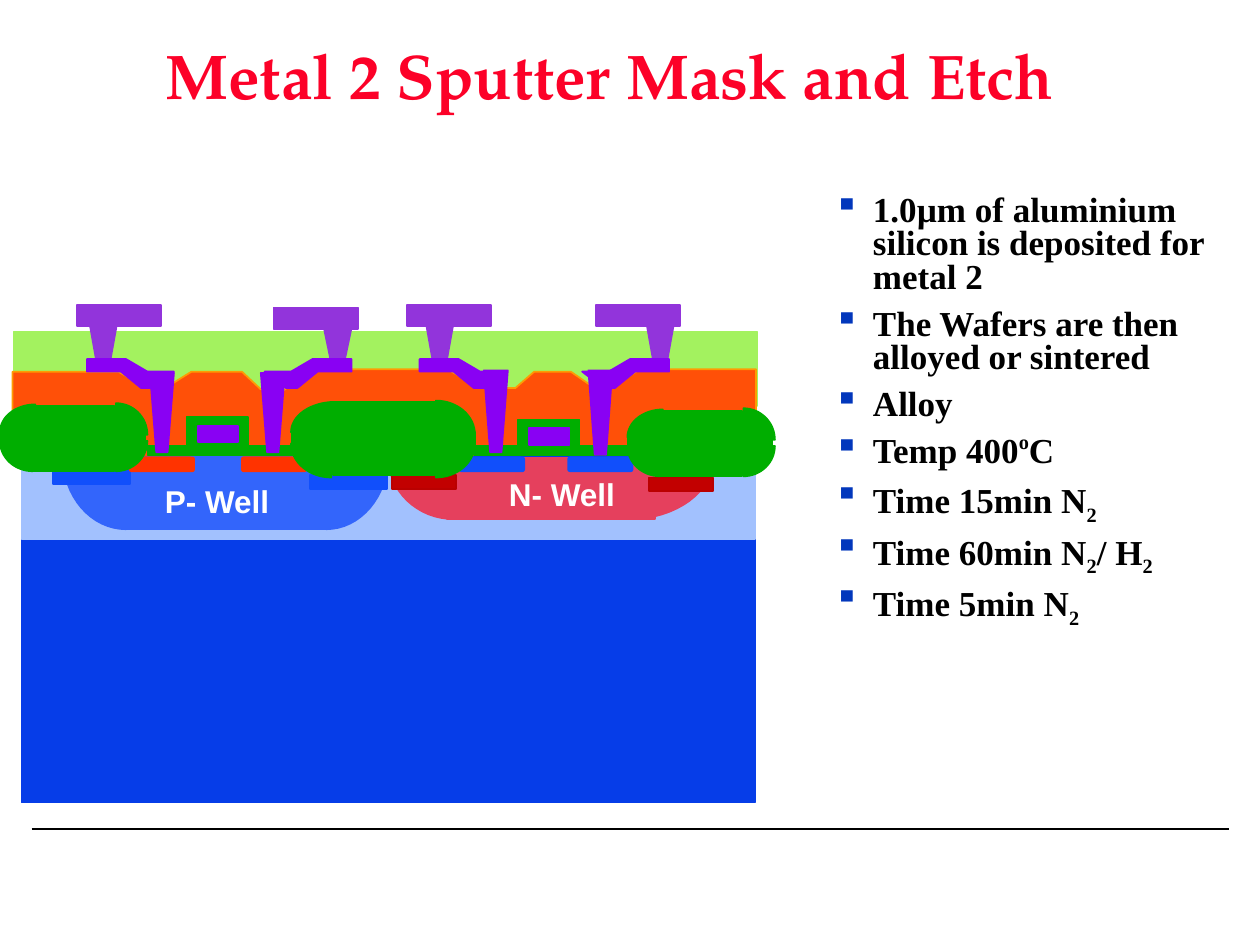
import math

import lxml.etree
import pptx
import pptx.dml.color
import pptx.enum.shapes
import pptx.enum.text
import pptx.oxml.ns
import pptx.util

RGB = pptx.dml.color.RGBColor
KIND = pptx.enum.shapes.MSO_SHAPE
ALIGN = pptx.enum.text.PP_ALIGN
ANCHOR = pptx.enum.text.MSO_ANCHOR
Inches, Pt = pptx.util.Inches, pptx.util.Pt

BLACK, WHITE = RGB(0, 0, 0), RGB(255, 255, 255)
TITLE_RED, BULLET_BLUE = RGB(0xFC, 0x01, 0x28), RGB(0x02, 0x37, 0xBC)
GLASS_GREEN = RGB(0xA3, 0xF2, 0x5F)
DIELECTRIC, DIELECTRIC_EDGE = RGB(0xFF, 0x50, 0x08), RGB(0xFE, 0x9B, 0x03)
SUBSTRATE, EPITAXY = RGB(0x06, 0x3D, 0xE8), RGB(0xA2, 0xC1, 0xFE)
N_WELL, P_WELL = RGB(0xE5, 0x40, 0x5D), RGB(0x33, 0x65, 0xFB)
OXIDE = RGB(0x00, 0xAE, 0x00)
IMPLANT_BLUE, IMPLANT_ORANGE = RGB(0x11, 0x4F, 0xFB), RGB(0xFF, 0x33, 0x00)
STOP_RED, STOP_EDGE = RGB(0xC2, 0, 0), RGB(0xBA, 0, 0)
METAL_1, METAL_2 = RGB(0x89, 0x01, 0xF3), RGB(0x92, 0x34, 0xDB)

TITLE = "Metal 2 Sputter Mask and Etch"
# Each bullet is a list of (text, baseline shift in percent).
BULLETS = [
    [("1.0µm of aluminium silicon is deposited for metal 2", 0)],
    [("The Wafers are then alloyed or sintered", 0)],
    [("Alloy", 0)],
    [("Temp 400", 0), ("o", 40), ("C", 0)],
    [("Time 15min N", 0), ("2", -25)],
    [("Time 60min N", 0), ("2", -25), ("/ H", 0), ("2", -25)],
    [("Time 5min N", 0), ("2", -25)],
]
WELL_LABELS = [("P- Well", 1.21, 3.78), ("N- Well", 3.94, 3.72)]

DIELECTRIC_OUTLINE = [
    (0.1, 3.62), (0.1, 2.95), (0.94, 2.95), (1.15, 3.07), (1.31, 3.08), (1.52, 2.95),
    (1.92, 2.95), (2.07, 3.09), (2.25, 3.1), (2.46, 2.93), (3.55, 2.93), (3.76, 3.05),
    (3.93, 3.08), (4.09, 3.08), (4.24, 2.95), (4.53, 2.95), (4.72, 3.08), (4.87, 3.06),
    (5.08, 2.93), (6, 2.93), (6, 3.68), (6.02, 3.68)]
STRAP_OUTLINE = [(0, 0.1), (0, 0), (0.31, 0), (0.48, 0.1), (0.69, 0.1),
                 (0.52, 0.23), (0.43, 0.23), (0.27, 0.1)]

# Quarter ellipses: centre x, centre y, signed radius x, signed radius y.
N_WELL_ENDS = [(3.6, 3.62, -0.52, 0.5), (5, 3.62, 0.67, 0.5)]
P_WELL_ENDS = [(1, 3.62, -0.5, 0.58), (2.59, 3.62, 0.49, 0.58)]
SIDE_CORNERS = [(0.26, 3.5, -0.26, 0.24), (0.92, 3.5, 0.25, 0.24),
                (0.92, 3.45, 0.25, -0.25), (0.28, 3.43, -0.28, -0.22)]
SIDE_RECTS = [(0, 3.42, 1.15, 0.08), (0.26, 3.22, 0.65, 0.52)]
MIDDLE_CORNERS = [(2.63, 3.52, -0.32, 0.27), (3.46, 3.52, 0.31, 0.27),
                  (3.46, 3.45, 0.31, -0.27), (2.66, 3.43, -0.35, -0.24)]
MIDDLE_RECTS = [(2.32, 3.43, 1.45, 0.09), (2.64, 3.19, 0.82, 0.58)]

# Left, top, top width, height.
CONTACTS = [(1.19, 2.96, 0.19, 0.63), (2.07, 2.96, 0.19, 0.63),
            (3.84, 2.94, 0.19, 0.65), (4.67, 2.94, 0.19, 0.67)]
VIAS = [(0.71, 2.56, 0.22, 0.28), (2.57, 2.6, 0.22, 0.24),
        (3.38, 2.56, 0.22, 0.28), (5.13, 2.56, 0.22, 0.28)]
PADS = [(0.61, 2.42), (2.17, 2.44), (3.23, 2.42), (4.73, 2.42)]
STRAPS = [(0.69, 1), (2.79, -1), (3.33, 1), (5.31, -1)]  # outer end, direction
GATES = [(1.48, 3.31), (4.11, 3.33)]


def paint(shape, fill, edge=None):
    shape.shadow.inherit = False
    shape.fill.solid()
    shape.fill.fore_color.rgb = fill
    shape.line.color.rgb = edge or fill
    shape.line.width = Pt(1)


def add_boxes(group, boxes, fill, edge=None, kind=KIND.RECTANGLE):
    for box in boxes:
        shape = group.shapes.add_shape(kind, *map(Inches, box))
        if kind == KIND.ROUNDED_RECTANGLE:
            shape.adjustments[0] = 0.125
        paint(shape, fill, edge)


def add_polygon(group, points, fill, edge=None):
    start, *others = [(Inches(x), Inches(y)) for x, y in points]
    builder = group.shapes.build_freeform(*start)
    builder.add_line_segments(others, close=True)
    paint(builder.convert_to_shape(), fill, edge)


def add_quarters(group, quarters, fill, steps=16):
    for x, y, radius_x, radius_y in quarters:
        angles = [math.pi / 2 * step / steps for step in range(steps + 1)]
        arc = [(x + radius_x * math.cos(a), y + radius_y * math.sin(a)) for a in angles]
        add_polygon(group, [(x, y)] + arc, fill)


def add_tapers(group, tapers, fill):
    for x, y, width, height in tapers:
        add_polygon(group, [(x, y), (x + width, y), (x + width - 0.05, y + height),
                            (x + 0.05, y + height)], fill)


def add_field_oxide(group, corners, rects, dx=0, dy=0):
    def moved(items):
        return [(x + dx, y + dy, w, h) for x, y, w, h in items]
    add_quarters(group, moved(corners), OXIDE)
    add_boxes(group, moved(rects), OXIDE)


def add_span(para, text, font, size, colour):
    span = para.add_run()
    span.text = text
    span.font.name, span.font.size, span.font.bold = font, Pt(size), True
    span.font.color.rgb = colour
    return span


def add_bullet(para):
    props = para._p.get_or_add_pPr()
    props.set("marL", str(Inches(0.31)))
    props.set("indent", str(Inches(-0.31)))
    colour = lxml.etree.SubElement(props, pptx.oxml.ns.qn("a:buClr"))
    lxml.etree.SubElement(colour, pptx.oxml.ns.qn("a:srgbClr"), val=str(BULLET_BLUE))
    lxml.etree.SubElement(props, pptx.oxml.ns.qn("a:buChar"), char="▪")


def add_cross_section(page):
    group = page.shapes.add_group_shape()
    add_boxes(group, [(0.11, 2.63, 5.9, 0.59)], GLASS_GREEN)
    add_polygon(group, DIELECTRIC_OUTLINE, DIELECTRIC, DIELECTRIC_EDGE)
    add_boxes(group, [(0.17, 3.63, 5.82, 2.74)], SUBSTRATE)
    add_boxes(group, [(0.17, 3.63, 5.82, 0.65)], EPITAXY)
    add_quarters(group, N_WELL_ENDS, N_WELL)
    add_boxes(group, [(3.55, 3.63, 1.65, 0.49)], N_WELL)
    add_quarters(group, P_WELL_ENDS, P_WELL)
    add_boxes(group, [(0.97, 3.63, 1.65, 0.57)], P_WELL)
    add_boxes(group, [(x, 3.54, 1.24, 0.07) for x in (1.17, 3.76)], OXIDE)
    add_boxes(group, [(2.46, 3.77, 0.61, 0.11), (0.42, 3.73, 0.61, 0.11)], IMPLANT_BLUE)
    add_boxes(group, [(3.11, 3.77, 0.51, 0.11), (5.15, 3.79, 0.51, 0.11)],
              STOP_RED, STOP_EDGE)
    add_boxes(group, [(x, y, 0.49, 0.26) for x, y in GATES], OXIDE)
    add_boxes(group, [(x + 0.09, y + 0.07, 0.32, 0.13) for x, y in GATES], METAL_1)
    for fill, lefts in ((IMPLANT_BLUE, (3.65, 4.51)), (IMPLANT_ORANGE, (1.03, 1.92))):
        add_boxes(group, [(x, 3.63, 0.51, 0.11) for x in lefts], fill,
                  kind=KIND.ROUNDED_RECTANGLE)
    add_field_oxide(group, SIDE_CORNERS, SIDE_RECTS)
    add_field_oxide(group, MIDDLE_CORNERS, MIDDLE_RECTS)
    add_tapers(group, CONTACTS, METAL_1)
    add_tapers(group, VIAS, METAL_2)
    add_boxes(group, [(x, y, 0.67, 0.17) for x, y in PADS], METAL_2)
    for end, direction in STRAPS:
        add_polygon(group, [(end + direction * x, 2.85 + y) for x, y in STRAP_OUTLINE],
                    METAL_1)
    add_field_oxide(group, SIDE_CORNERS, SIDE_RECTS, 4.98, 0.04)
    for text, x, y in WELL_LABELS:
        box = group.shapes.add_textbox(Inches(x), Inches(y), Inches(1.05), Inches(0.4))
        box.text_frame.word_wrap = False
        add_span(box.text_frame.paragraphs[0], text, "Arial", 18, WHITE)


def add_title(page):
    title = page.shapes.title
    title.left, title.top = 0, 0
    title.width, title.height = Inches(9.67), Inches(1.25)
    title.text_frame.vertical_anchor = ANCHOR.MIDDLE
    para = title.text_frame.paragraphs[0]
    para.alignment, para.line_spacing = ALIGN.CENTER, 0.9
    add_span(para, TITLE, "TeX Gyre Pagella", 36, TITLE_RED)


def add_process_steps(page):
    box = page.shapes.add_textbox(Inches(6.52), Inches(1.5), Inches(3.48), Inches(3.75))
    frame = box.text_frame
    frame.word_wrap = True
    for index, spans in enumerate(BULLETS):
        para = frame.add_paragraph() if index else frame.paragraphs[0]
        add_bullet(para)
        para.line_spacing = 0.8
        para.space_before = Pt(7.5 if index else 0)
        for text, shift in spans:
            span = add_span(para, text, "Times New Roman", 20, BLACK)
            if shift:
                span.font._element.set("baseline", str(shift * 1000))


def add_footer_rule(page):
    rule = page.shapes.add_connector(pptx.enum.shapes.MSO_CONNECTOR.STRAIGHT,
                                     Inches(0.25), Inches(6.58), Inches(9.75), Inches(6.58))
    rule.line.color.rgb, rule.line.width = BLACK, Pt(1)
    lxml.etree.SubElement(rule._element.spPr, pptx.oxml.ns.qn("a:effectLst"))


def main():
    deck = pptx.Presentation()
    deck.slide_width, deck.slide_height = Inches(10), Inches(7.5)
    page = deck.slides.add_slide(deck.slide_layouts[5])
    add_footer_rule(page)
    add_title(page)
    add_process_steps(page)
    add_cross_section(page)
    deck.save("out.pptx")


if __name__ == "__main__":
    main()
